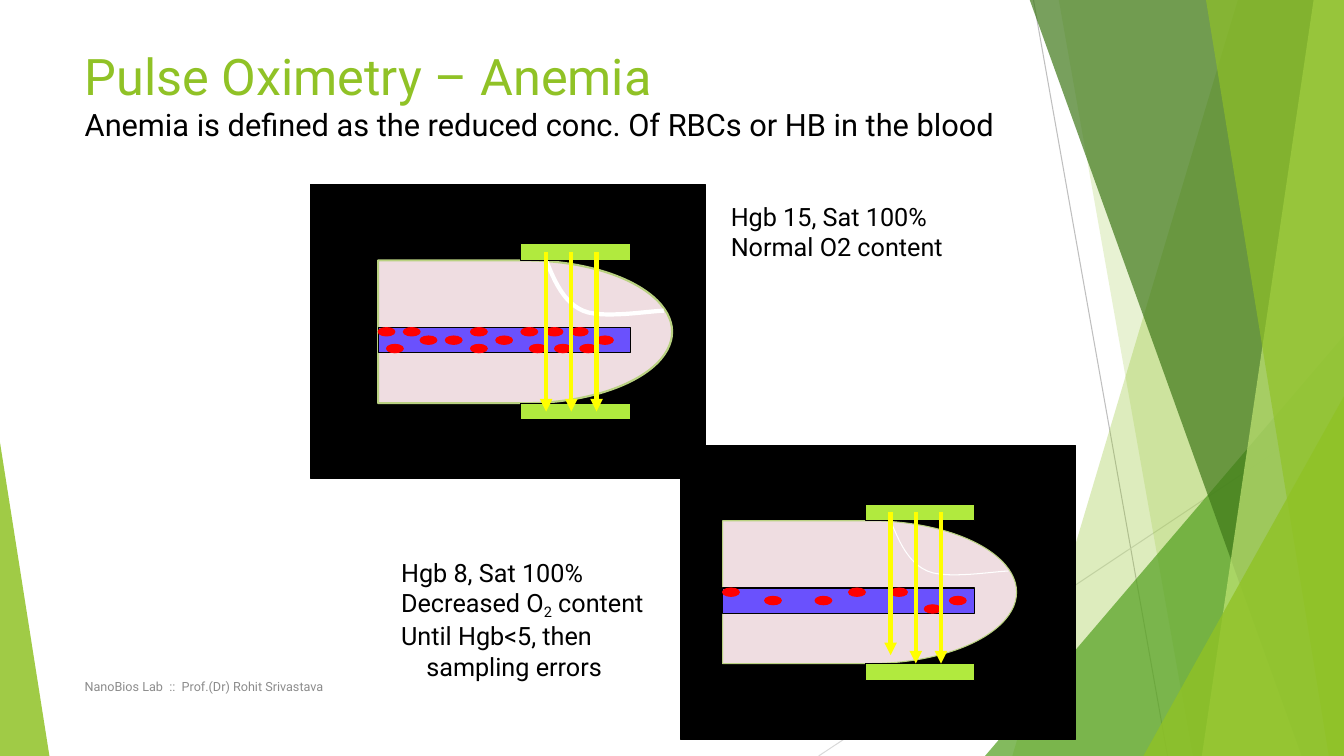
from lxml import etree
from pptx import Presentation
from pptx.dml.color import RGBColor
from pptx.enum.shapes import MSO_CONNECTOR as CONNECTOR, MSO_SHAPE as SHAPE
from pptx.enum.text import MSO_ANCHOR as ANCHOR, MSO_AUTO_SIZE as AUTO_SIZE, PP_ALIGN as ALIGN
from pptx.oxml.ns import qn
from pptx.util import Inches, Pt

BLACK = RGBColor(0x00, 0x00, 0x00)
WHITE = RGBColor(0xFF, 0xFF, 0xFF)
GREEN = RGBColor(0x90, 0xC2, 0x26)
MID_GREEN = RGBColor(0x54, 0xA0, 0x21)
DARK_GREEN = RGBColor(0x3F, 0x78, 0x19)
PALE_GREEN = RGBColor(0xC0, 0xE4, 0x74)
SKIN = RGBColor(0xEF, 0xDD, 0xE1)
SKIN_EDGE = RGBColor(0xB9, 0xD1, 0x81)
BLOOD = RGBColor(0x6A, 0x51, 0xFD)
RED = RGBColor(0xFF, 0x00, 0x00)
LIME = RGBColor(0xB1, 0xEA, 0x3E)
YELLOW = RGBColor(0xFF, 0xFF, 0x00)
GRAY = RGBColor(0x8C, 0x8C, 0x8C)
SILVER = RGBColor(0xBF, 0xBF, 0xBF)
LIGHT_GRAY = RGBColor(0xD9, 0xD9, 0xD9)


def write(paragraph, text, size=18, color=BLACK, baseline=0):
    run = paragraph.add_run()
    run.text = text
    run.font.name = "Roboto"
    run.font.size = Pt(size)
    run.font.color.rgb = color
    if baseline:
        run.font._element.set("baseline", str(baseline * 1000))


def style(item, fill=None, line=None, width=0.75, alpha=100):
    if fill is not None:
        item.fill.solid()
        item.fill.fore_color.rgb = fill
        color = item._element.spPr.find(qn("a:solidFill"))[0]
        etree.SubElement(color, qn("a:alpha"), val=str(alpha * 1000))
    if line is None:
        item.line.fill.background()
    else:
        item.line.color.rgb = line
        item.line.width = Pt(width)
    etree.SubElement(item._element.spPr, qn("a:effectLst"))


prs = Presentation()
prs.slide_width, prs.slide_height = Inches(13.33), Inches(7.5)
slide = prs.slides.add_slide(prs.slide_layouts[5])
shapes = slide.shapes

for x1, y1, x2, y2, color in [
    (10.25, 0, 11.58, 7.5, SILVER),
    (13.33, 4.03, 8.12, 7.5, LIGHT_GRAY),
]:
    ray = shapes.add_connector(CONNECTOR.STRAIGHT, Inches(x1), Inches(y1), Inches(x2), Inches(y2))
    style(ray, line=color)

for kind, start, end, color, alpha in [
    ("band", 12.28, 10.04, GREEN, 30),
    ("band", 10.5, 11.83, GREEN, 20),
    ("corner", 9.77, 3.33, MID_GREEN, 72),
    ("band", 10.21, 12.91, DARK_GREEN, 70),
    ("band", 13.03, 11.92, PALE_GREEN, 70),
    ("band", 11.96, 13.18, GREEN, 65),
    ("corner", 11.34, 3.93, GREEN, 80),
]:
    if kind == "band":
        outline = shapes.build_freeform(Inches(start), Inches(-0.01), scale=1.0)
        outline.add_line_segments(
            [(Inches(x), Inches(y)) for x, y in [(13.33, -0.01), (13.33, 7.5), (end, 7.5)]], close=True)
        facet = outline.convert_to_shape()
    else:
        facet = shapes.add_shape(SHAPE.ISOSCELES_TRIANGLE, Inches(start), Inches(end),
                                 Inches(13.33 - start), Inches(7.5 - end))
        facet.adjustments[0] = 1
    style(facet, color, alpha=alpha)

left_facet = shapes.add_shape(SHAPE.ISOSCELES_TRIANGLE, 0, Inches(4.39), Inches(0.49), Inches(3.11))
left_facet.adjustments[0] = 0
style(left_facet, GREEN, alpha=85)

title = shapes.title
title.left, title.top, title.width, title.height = Inches(0.74), Inches(0.4), Inches(9.54), Inches(1.44)
title.text_frame.auto_size = AUTO_SIZE.NONE
title.text_frame.vertical_anchor = ANCHOR.TOP
heading = title.text_frame.paragraphs[0]
heading.alignment = ALIGN.LEFT
write(heading, "Pulse Oximetry – Anemia", size=36, color=GREEN)
heading.add_line_break()
write(heading, "Anemia is defined as the reduced conc. Of RBCs or HB in the blood", size=22)

UNIT = Inches(1) / 12
NAIL = [
    [(0, 0), (1, 2.5), (2.1, 5), (4.4, 6)],
    [(4.4, 6), (6.7, 7), (12.4, 6), (14, 6)],
]
NORMAL_CELLS = [(0, 0), (1, 2), (3, 0), (5, 1), (8, 1), (11, 0), (11, 2), (14, 1),
                (17, 0), (18, 2), (20, 0), (21, 2), (23, 0), (24, 2), (26, 1)]
ANEMIC_CELLS = [(0, 0), (5, 1), (11, 1), (15, 0), (20, 0), (27, 1), (24, 2)]

for finger_x, finger_y, margin, edge, nail_width, cells, beam_ends in [
    (45, 31, 8, 1.5, 3, NORMAL_CELLS, (18, 18, 18)),
    (86, 62, 5, 0.75, 0.75, ANEMIC_CELLS, (16, 17, 17)),
]:
    panel = (SHAPE.RECTANGLE, -margin, -9, 47, 35, BLACK, BLACK, 0.75)
    finger = (SHAPE.FLOWCHART_DELAY, 0, 0, 35, 17, SKIN, SKIN_EDGE, edge)
    vessel = (SHAPE.RECTANGLE, 0, 8, 30, 3, BLOOD, BLACK, 0.75)
    red_cells = [(SHAPE.OVAL, x, 8 + row, 2, 1, RED, RED, 0.75) for x, row in cells]
    sensors = [(SHAPE.RECTANGLE, 17, y, 13, 2, LIME, BLACK, 0.75) for y in (-2, 17)]
    for form, x, y, width, height, fill, line, weight in [panel, finger, vessel, *red_cells, *sensors]:
        part = shapes.add_shape(form, int((finger_x + x) * UNIT), int((finger_y + y) * UNIT),
                                int(width * UNIT), int(height * UNIT))
        style(part, fill, line, weight)
        if form == SHAPE.FLOWCHART_DELAY:
            nail_points = []
            for curve in NAIL:
                for step in range(13):
                    t = step / 12
                    weights = ((1 - t) ** 3, 3 * t * (1 - t) ** 2, 3 * t ** 2 * (1 - t), t ** 3)
                    nail_x, nail_y = (sum(w * p[axis] for w, p in zip(weights, curve)) for axis in (0, 1))
                    nail_points.append((int((finger_x + 20 + nail_x) * UNIT), int((finger_y + nail_y) * UNIT)))
            outline = shapes.build_freeform(*nail_points[0], scale=1.0)
            outline.add_line_segments(nail_points[1:], close=False)
            nail = outline.convert_to_shape()
            nail.fill.background()
            style(nail, line=WHITE, width=nail_width)

    for x, end in zip((20, 23, 26), beam_ends):
        beam_x = int((finger_x + x) * UNIT)
        beam = shapes.add_connector(CONNECTOR.STRAIGHT, beam_x, int((finger_y - 1) * UNIT),
                                    beam_x, int((finger_y + end) * UNIT))
        style(beam, line=YELLOW, width=3)
        etree.SubElement(beam.line._get_or_add_ln(), qn("a:tailEnd"), type="triangle")

for left, top, width, height, lines in [
    (7.15, 1.95, 2.34, 0.71, ["Hgb 15, Sat 100%", "Normal O2 content"]),
    (3.88, 5.48, 2.65, 1.31,
     ["Hgb 8, Sat 100%", "Decreased O|2| content", "Until Hgb<5, then", "sampling errors"]),
]:
    caption = shapes.add_textbox(Inches(left), Inches(top), Inches(width), Inches(height)).text_frame
    caption.word_wrap = False
    caption.auto_size = AUTO_SIZE.SHAPE_TO_FIT_TEXT
    for number, line in enumerate(lines):
        paragraph = caption.add_paragraph() if number else caption.paragraphs[0]
        for position, piece in enumerate(line.split("|")):
            write(paragraph, piece, baseline=-20 if position == 1 else 0)
        if line == "sampling errors":
            paragraph._p.get_or_add_pPr().set("marL", str(Inches(0.25)))

footer = shapes.add_textbox(Inches(0.74), Inches(6.61), Inches(6.89), Inches(0.4)).text_frame
footer.word_wrap = True
footer.vertical_anchor = ANCHOR.MIDDLE
credit = footer.paragraphs[0]
write(credit, "NanoBios Lab  ::  Prof.(Dr) Rohit Srivastava", size=9, color=GRAY)

prs.save("out.pptx")
